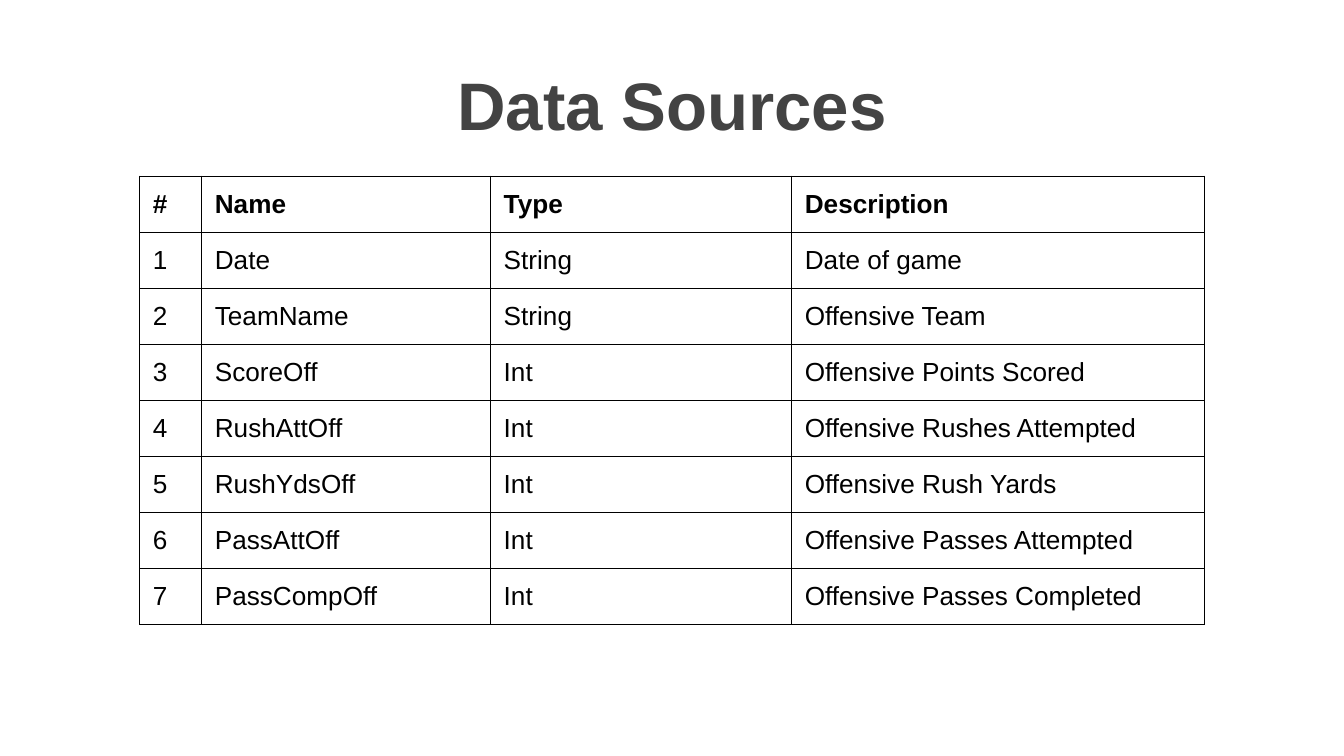
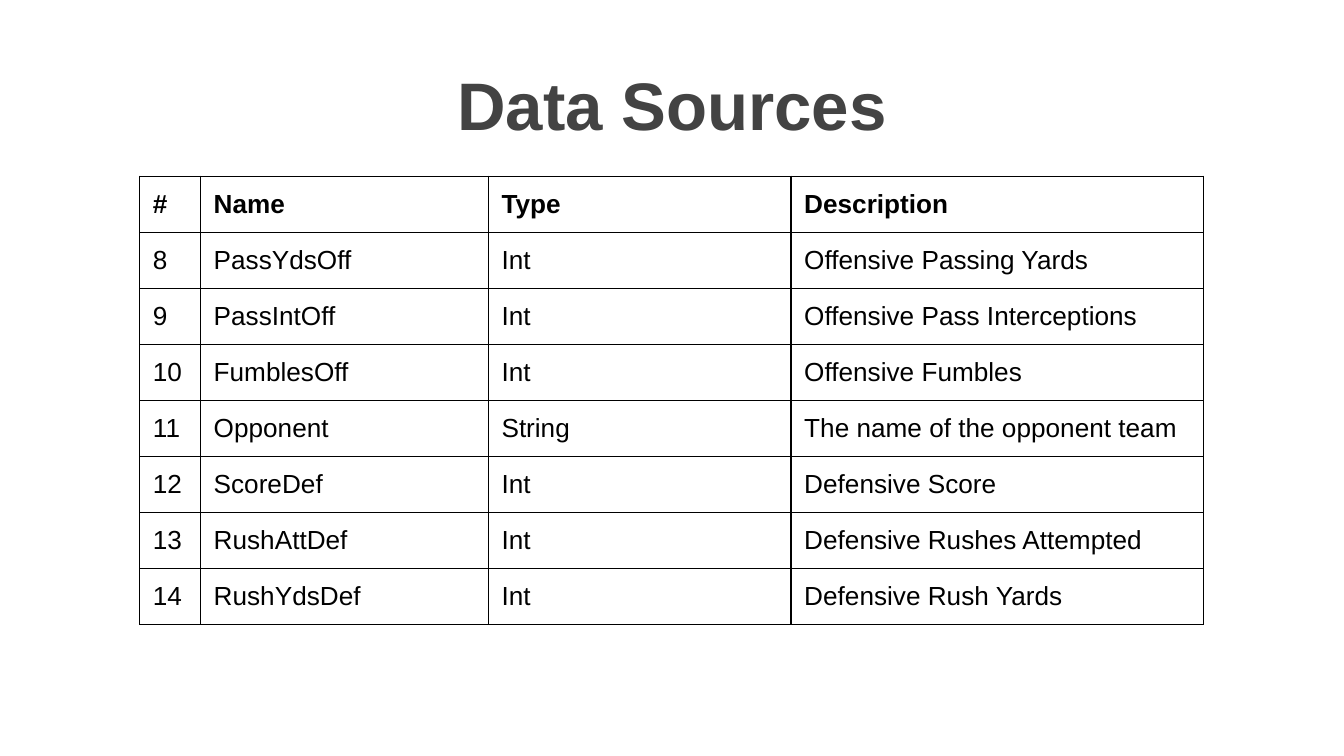
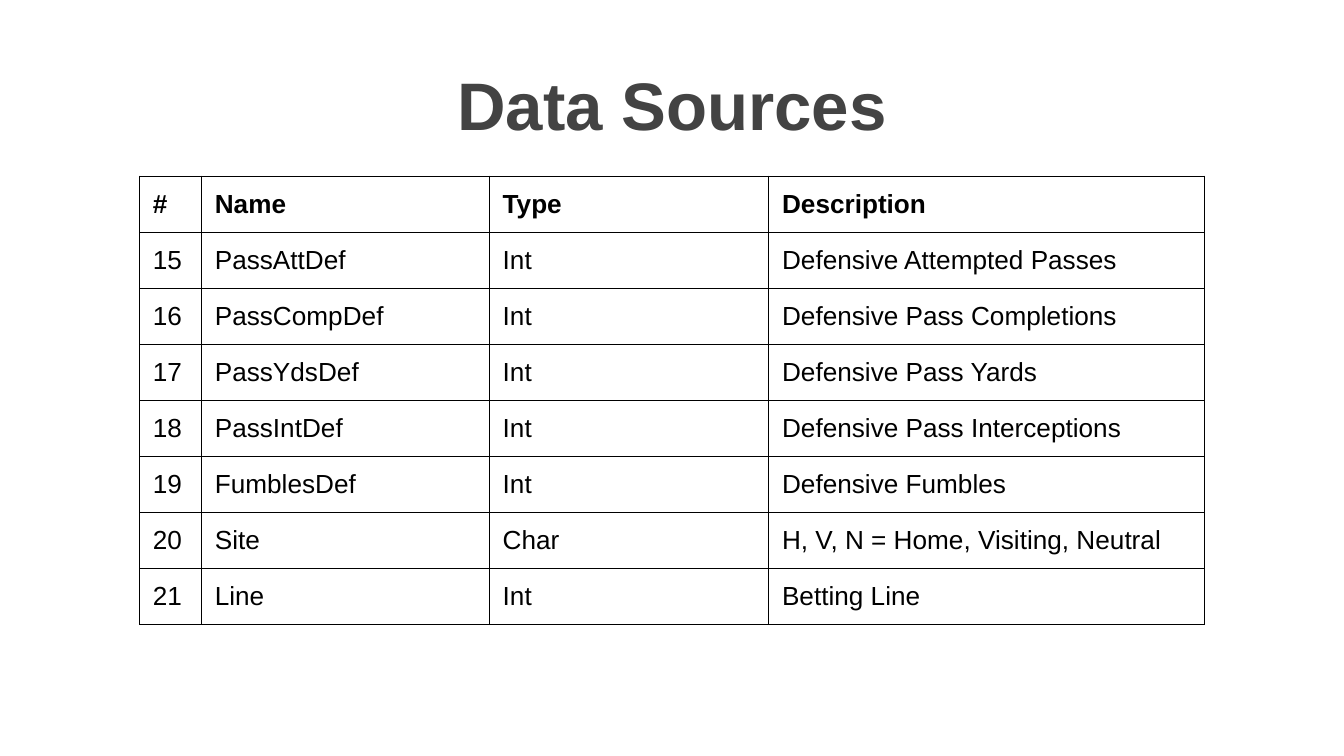
"""Build three slides that list the fields of the football data source."""

from dataclasses import dataclass

from lxml import etree
from pptx import Presentation
from pptx.dml.color import RGBColor
from pptx.enum.text import MSO_ANCHOR, MSO_AUTO_SIZE, PP_ALIGN
from pptx.oxml.ns import qn
from pptx.util import Cm, Pt

LEFT, CENTER = PP_ALIGN.LEFT, PP_ALIGN.CENTER
TOP, BOTTOM = MSO_ANCHOR.TOP, MSO_ANCHOR.BOTTOM
NO_AUTOFIT = MSO_AUTO_SIZE.NONE
TITLE_ONLY = 5


@dataclass(frozen=True)
class Theme:
    font: str = "Arial"
    title_color: str = "434343"
    text_color: str = "000000"
    border_color: str = "000000"
    title_size: int = 36
    table_size: int = 14
    border_width: float = 0.75
    inset: float = 0.25


THEME = Theme()
HEADINGS = ("#", "Name", "Type", "Description")
ROW_HEIGHT = 1.06

FIELD_GROUPS = [
    ((1.17, 5.46, 5.69, 7.8), [
        ("Date", "String", "Date of game"),
        ("TeamName", "String", "Offensive Team"),
        ("ScoreOff", "Int", "Offensive Points Scored"),
        ("RushAttOff", "Int", "Offensive Rushes Attempted"),
        ("RushYdsOff", "Int", "Offensive Rush Yards"),
        ("PassAttOff", "Int", "Offensive Passes Attempted"),
        ("PassCompOff", "Int", "Offensive Passes Completed"),
    ]),
    ((1.15, 5.44, 5.72, 7.8), [
        ("PassYdsOff", "Int", "Offensive Passing Yards"),
        ("PassIntOff", "Int", "Offensive Pass Interceptions"),
        ("FumblesOff", "Int", "Offensive Fumbles"),
        ("Opponent", "String", "The name of the opponent team"),
        ("ScoreDef", "Int", "Defensive Score"),
        ("RushAttDef", "Int", "Defensive Rushes Attempted"),
        ("RushYdsDef", "Int", "Defensive Rush Yards"),
    ]),
    ((1.17, 5.44, 5.28, 8.23), [
        ("PassAttDef", "Int", "Defensive Attempted Passes"),
        ("PassCompDef", "Int", "Defensive Pass Completions"),
        ("PassYdsDef", "Int", "Defensive Pass Yards"),
        ("PassIntDef", "Int", "Defensive Pass Interceptions"),
        ("FumblesDef", "Int", "Defensive Fumbles"),
        ("Site", "Char", "H, V, N = Home, Visiting, Neutral"),
        ("Line", "Int", "Betting Line"),
    ]),
]


def write_text(holder, text, *, size, color, bold=False, align=LEFT, anchor=TOP):
    """Write one formatted paragraph into a placeholder or table cell."""
    holder.margin_left = holder.margin_right = Cm(THEME.inset)
    holder.margin_top = holder.margin_bottom = Cm(THEME.inset)
    holder.vertical_anchor = anchor
    holder.text = text
    paragraph = getattr(holder, "text_frame", holder).paragraphs[0]
    paragraph.alignment = align
    font = paragraph.runs[0].font
    font.name = THEME.font
    font.size = Pt(size)
    font.bold = bold
    font.color.rgb = RGBColor.from_string(color)


def draw_borders(cell):
    """Draw a thin solid line on all four sides of a cell."""
    properties = cell._tc.get_or_add_tcPr()
    for side in ("a:lnL", "a:lnR", "a:lnT", "a:lnB"):
        line = etree.SubElement(properties, qn(side), w=str(Pt(THEME.border_width)))
        fill = etree.SubElement(line, qn("a:solidFill"))
        etree.SubElement(fill, qn("a:srgbClr"), val=THEME.border_color)


presentation = Presentation()
presentation.slide_width = Cm(25.4)
presentation.slide_height = Cm(14.29)

next_number = 1
for column_widths, fields in FIELD_GROUPS:
    slide = presentation.slides.add_slide(presentation.slide_layouts[TITLE_ONLY])

    heading = slide.shapes.title
    heading.left, heading.top = Cm(1.27), Cm(0.58)
    heading.width, heading.height = Cm(22.86), Cm(2.39)
    heading.text_frame.auto_size = NO_AUTOFIT
    write_text(heading.text_frame, "Data Sources", size=THEME.title_size,
               color=THEME.title_color, bold=True, align=CENTER, anchor=BOTTOM)

    rows = [HEADINGS]
    for number, field in enumerate(fields, next_number):
        rows.append((str(number), *field))
    next_number += len(fields)

    field_table = slide.shapes.add_table(
        len(rows), len(HEADINGS), Cm(2.64), Cm(3.33),
        Cm(sum(column_widths)), Cm(ROW_HEIGHT * len(rows))).table
    field_table.horz_banding = False
    for column, width in zip(field_table.columns, column_widths):
        column.width = Cm(width)

    for row_index, row in enumerate(rows):
        field_table.rows[row_index].height = Cm(ROW_HEIGHT)
        for column_index, entry in enumerate(row):
            cell = field_table.cell(row_index, column_index)
            write_text(cell, entry, size=THEME.table_size,
                       color=THEME.text_color, bold=row_index == 0)
            draw_borders(cell)
            cell.fill.background()

presentation.save("out.pptx")
